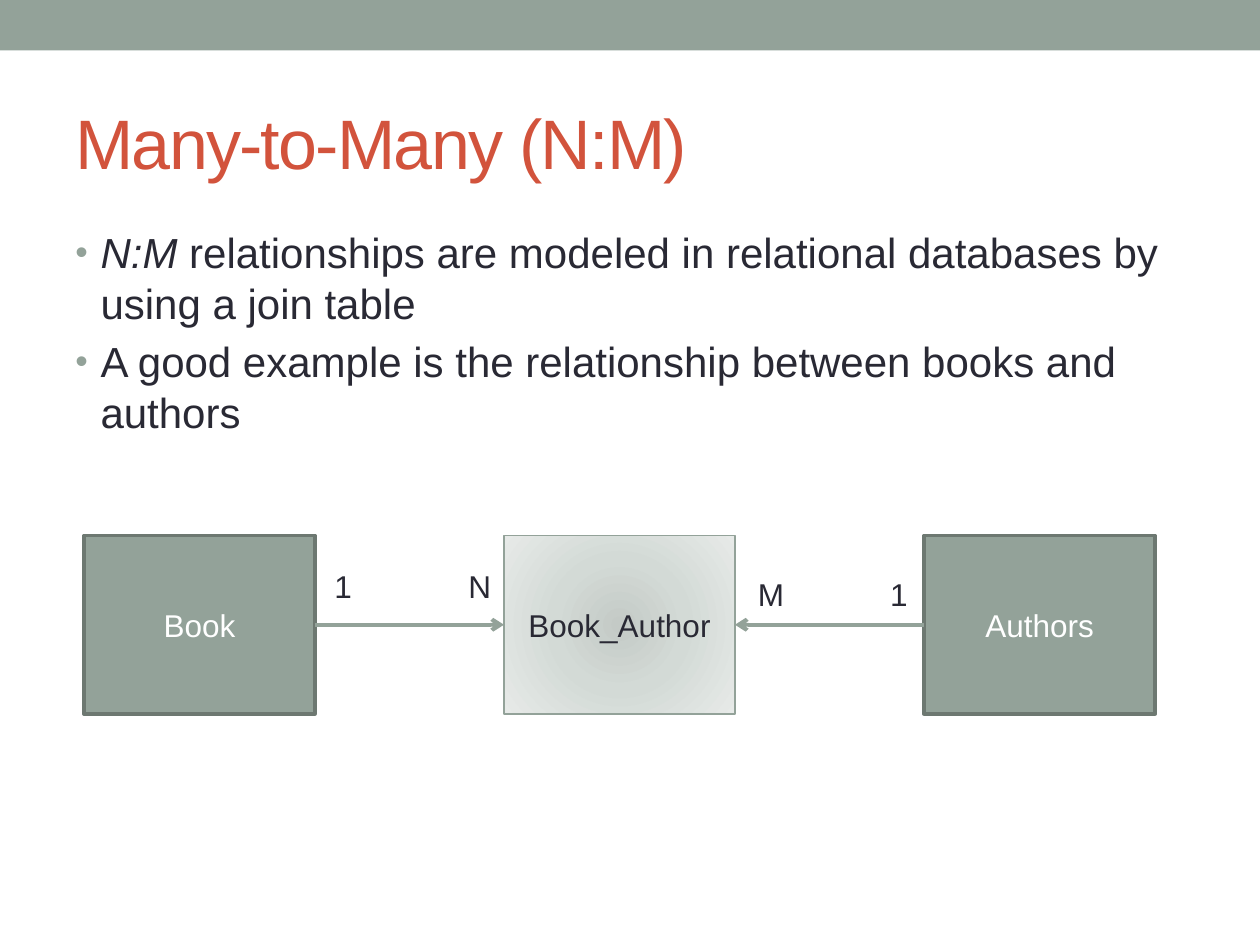
from lxml import etree
from pptx import Presentation
from pptx.dml.color import RGBColor
from pptx.enum.shapes import MSO_CONNECTOR, MSO_SHAPE
from pptx.enum.text import MSO_ANCHOR, PP_ALIGN
from pptx.oxml import parse_xml
from pptx.oxml.ns import nsdecls, qn
from pptx.util import Pt

RECT = MSO_SHAPE.RECTANGLE
STRAIGHT = MSO_CONNECTOR.STRAIGHT
MIDDLE = MSO_ANCHOR.MIDDLE
CENTER = PP_ALIGN.CENTER

SAGE = RGBColor(0x93, 0xA2, 0x99)
EDGE = RGBColor(0x6D, 0x78, 0x71)
RUST = RGBColor(0xD2, 0x53, 0x3C)
INK = RGBColor(0x29, 0x29, 0x34)
WHITE = RGBColor(0xFF, 0xFF, 0xFF)
GLOW = ((0, "C4CAC6"), (45, "D3DAD6"), (100, "E7EAE8"))
LEFT, RIGHT = 1, 3


def style(para, size, color):
    """Format every run of a paragraph."""
    for run in para.runs:
        run.font.name = "Arial"
        run.font.size = Pt(size)
        run.font.color.rgb = color


def add_text(slide, box):
    """Add a wrapping text box and return its frame."""
    frame = slide.shapes.add_textbox(*map(Pt, box)).text_frame
    frame.word_wrap = True
    return frame


def add_rect(slide, box, fill=None):
    """Add a rectangle without a shadow or outline."""
    shape = slide.shapes.add_shape(RECT, *map(Pt, box))
    shape.shadow.inherit = False
    shape.line.fill.background()
    if fill is not None:
        shape.fill.solid()
        shape.fill.fore_color.rgb = fill
    return shape


def add_title(slide, box, text):
    """Add the slide title with tight letter spacing."""
    frame = add_text(slide, box)
    frame.vertical_anchor = MIDDLE
    para = frame.paragraphs[0]
    para.text = text
    style(para, 40, RUST)
    para.runs[0].font._element.set("spc", "-100")


def add_bullets(slide, box, items):
    """Add bullets, each with an italic lead and plain text."""
    frame = add_text(slide, box)
    for i, (lead, rest) in enumerate(items):
        para = frame.add_paragraph() if i else frame.paragraphs[0]
        if lead:
            run = para.add_run()
            run.text = lead
            run.font.italic = True
        para.add_run().text = rest
        style(para, 24, INK)
        para.space_before = Pt(4.8)
        props = para._p.get_or_add_pPr()
        props.set("marL", str(Pt(14.4)))
        props.set("indent", str(-Pt(14.4)))
        color = etree.SubElement(props, qn("a:buClr"))
        etree.SubElement(color, qn("a:srgbClr"), val=str(SAGE))
        etree.SubElement(props, qn("a:buSzPct"), val="85000")
        etree.SubElement(props, qn("a:buFont"), typeface="Arial")
        etree.SubElement(props, qn("a:buChar"), char="•")


def add_glow(shape):
    """Fill a shape with a gradient that spreads from its centre."""
    stops = "".join(
        f'<a:gs pos="{pos * 1000}"><a:srgbClr val="{color}"/></a:gs>'
        for pos, color in GLOW)
    fill = parse_xml(
        f'<a:gradFill {nsdecls("a")} rotWithShape="1"><a:gsLst>{stops}</a:gsLst>'
        '<a:path path="circle"><a:fillToRect l="50000" t="50000" '
        'r="50000" b="50000"/></a:path></a:gradFill>')
    shape._element.spPr.find(qn("a:prstGeom")).addnext(fill)


def add_entity(slide, box, name, join=False):
    """Add a table box, with a gradient if it is the join table."""
    shape = add_rect(slide, box, None if join else SAGE)
    if join:
        add_glow(shape)
    shape.line.color.rgb = SAGE if join else EDGE
    shape.line.width = Pt(0.75 if join else 2.08)
    frame = shape.text_frame
    frame.vertical_anchor = MIDDLE
    para = frame.paragraphs[0]
    para.text = name
    para.alignment = CENTER
    style(para, 18, INK if join else WHITE)
    return shape


def add_link(slide, start, side, end, goal):
    """Join two table boxes with an arrow."""
    link = slide.shapes.add_connector(STRAIGHT, 0, 0, 0, 0)
    link.begin_connect(start, side)
    link.end_connect(end, goal)
    link.line.color.rgb = SAGE
    link.line.width = Pt(2.25)
    etree.SubElement(link.line._get_or_add_ln(), qn("a:tailEnd"), type="arrow")
    etree.SubElement(link._element.spPr, qn("a:effectLst"))


def add_counts(slide, box, near, far):
    """Add the counts at both ends of a link, split by a right tab."""
    frame = add_text(slide, box)
    frame.margin_right = 0
    para = frame.paragraphs[0]
    para.text = f"{near}\t{far}"
    style(para, 18, INK)
    tabs = etree.SubElement(para._p.get_or_add_pPr(), qn("a:tabLst"))
    etree.SubElement(tabs, qn("a:tab"), pos=str(Pt(box[2] - 14.4)), algn="r")


def add_model(slide, box):
    """Add the three tables with their links and counts."""
    left, top, width, height = box
    wide = 132
    step = (width - wide) / 2
    book, join, author = (
        add_entity(slide, (left + i * step, top, wide, height), name, i == 1)
        for i, name in enumerate(("Book", "Book_Author", "Authors")))
    add_link(slide, book, RIGHT, join, LEFT)
    add_link(slide, author, LEFT, join, RIGHT)
    add_counts(slide, (left + wide + 4, top + 14.5, 104, 29), "1", "N")
    add_counts(slide, (left + step + wide + 6, top + 19, 100, 29), "M", "1")


def main():
    """Build and save the slide."""
    deck = Presentation()
    deck.slide_width, deck.slide_height = Pt(720), Pt(540)
    slide = deck.slides.add_slide(deck.slide_layouts[6])
    add_rect(slide, (0, 0, 720, 28.8), SAGE)
    add_title(slide, (36, 42, 648, 78), "Many-to-Many (N:M)")
    add_bullets(slide, (36, 126, 648, 384), (
        ("N:M ", "relationships are modeled in relational databases "
                 "by using a join table"),
        ("", "A good example is the relationship between books and authors")))
    add_model(slide, (48, 306, 612, 102))
    deck.save("out.pptx")


if __name__ == "__main__":
    main()
